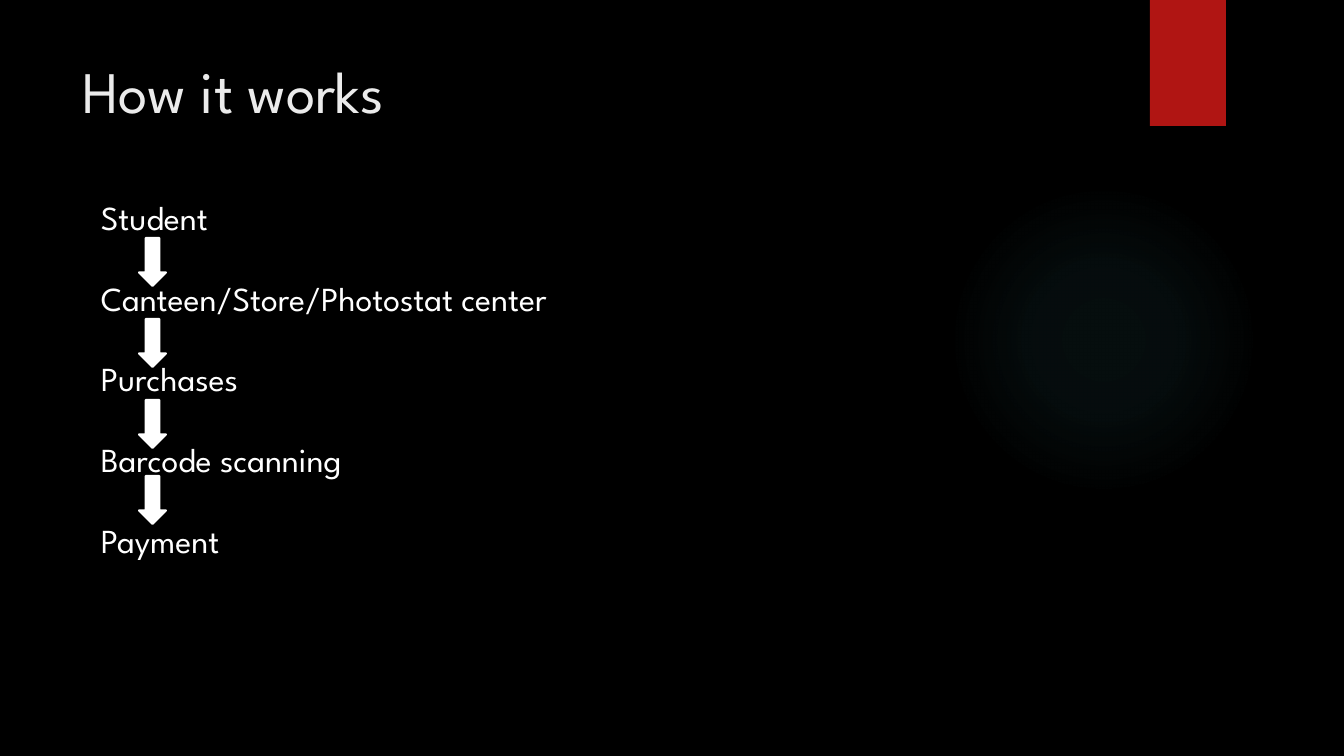
import pptx
import pptx.util
import pptx.dml.color
import pptx.enum.shapes
import pptx.enum.text
import pptx.oxml

TITLE = "How it works"
# Each step with the top of the arrow that leads on from it
STEPS = [
    ("Student", 238),
    ("Canteen/Store/Photostat center", 319),
    ("Purchases", 400),
    ("Barcode scanning", 476),
    ("Payment", None),
]

# Left, top, width, height in pixels
GLOW_AREA = (949, 185, 310, 310)
RIBBON_AREA = (1150, 0, 76, 126)
TITLE_AREA = (72, 50, 1037, 154)
STEPS_AREA = (91, 192, 779, 377)
ARROW_LEFT, ARROW_WIDTH, ARROW_HEIGHT = 139, 27, 48
SLIDE_SIZE = (1344, 756)
SCALE = 914400 / 100.8

FONT = "League Spartan"
LINE_HEIGHT = pptx.util.Pt(28.8)
BLACK = pptx.dml.color.RGBColor(0x00, 0x00, 0x00)
WHITE = pptx.dml.color.RGBColor(0xFF, 0xFF, 0xFF)
PALE = pptx.dml.color.RGBColor(0xEB, 0xEB, 0xEB)
RED = pptx.dml.color.RGBColor(0xB0, 0x15, 0x13)
TEAL = pptx.dml.color.RGBColor(0x50, 0xB9, 0xC1)
GLOW_STOPS = [(0, 7), (36, 6), (69, 0)]  # position and opacity, percent

SHAPES = pptx.enum.shapes.MSO_SHAPE


def emu(*pixels):
    """Turn pixel lengths into EMU."""
    return [pptx.util.Emu(round(pixel * SCALE)) for pixel in pixels]


def add_filled(page, kind, area, color):
    """Add a plain filled shape without line or shadow."""
    shape = page.shapes.add_shape(kind, *emu(*area))
    shape.shadow.inherit = False
    shape.fill.solid()
    shape.fill.fore_color.rgb = color
    shape.line.fill.background()
    return shape


def add_span(para, text, size, color):
    """Add one run of text to a left-aligned paragraph."""
    para.alignment = pptx.enum.text.PP_ALIGN.LEFT
    span = para.add_run()
    span.text = text
    span.font.name = FONT
    span.font.size = pptx.util.Pt(size)
    span.font.color.rgb = color


def add_glow(page):
    """Add the circle that fades out from its centre."""
    glow = add_filled(page, SHAPES.OVAL, GLOW_AREA, TEAL)
    stops = "".join(
        f'<a:gs pos="{place * 1000}"><a:srgbClr val="{TEAL}">'
        f'<a:alpha val="{opacity * 1000}"/></a:srgbClr></a:gs>'
        for place, opacity in GLOW_STOPS)
    gradient = pptx.oxml.parse_xml(
        '<a:gradFill xmlns:a="http://schemas.openxmlformats.org/drawingml/2006/main">'
        f'<a:gsLst>{stops}</a:gsLst><a:path path="circle">'
        '<a:fillToRect l="50000" t="50000" r="50000" b="50000"/>'
        '</a:path></a:gradFill>')
    properties = glow.element.spPr
    properties.replace(properties.find(pptx.oxml.ns.qn("a:solidFill")), gradient)


def add_title(page):
    """Place and fill the title placeholder."""
    title = page.shapes.title
    title.left, title.top, title.width, title.height = emu(*TITLE_AREA)
    frame = title.text_frame
    frame.auto_size = pptx.enum.text.MSO_AUTO_SIZE.NONE
    frame.vertical_anchor = pptx.enum.text.MSO_ANCHOR.TOP
    add_span(frame.paragraphs[0], TITLE, 42, PALE)


def add_steps(page):
    """Add the list of steps, one blank line's height apart, and the arrows."""
    frame = page.shapes.add_textbox(*emu(*STEPS_AREA)).text_frame
    frame.word_wrap = True
    for index, (step, arrow_top) in enumerate(STEPS):
        para = frame.add_paragraph() if index else frame.paragraphs[0]
        para.line_spacing = LINE_HEIGHT
        para.space_before = LINE_HEIGHT if index else 0
        add_span(para, step, 24, WHITE)
        if arrow_top is not None:
            area = (ARROW_LEFT, arrow_top, ARROW_WIDTH, ARROW_HEIGHT)
            arrow = add_filled(page, SHAPES.DOWN_ARROW, area, WHITE)
            arrow.line.color.rgb = WHITE
            arrow.line.width = pptx.util.Pt(1.5)


deck = pptx.Presentation()
deck.slide_width, deck.slide_height = emu(*SLIDE_SIZE)
page = deck.slides.add_slide(deck.slide_layouts[5])
page.background.fill.solid()
page.background.fill.fore_color.rgb = BLACK

add_glow(page)
add_filled(page, SHAPES.RECTANGLE, RIBBON_AREA, RED)
add_title(page)
add_steps(page)
deck.save("out.pptx")
